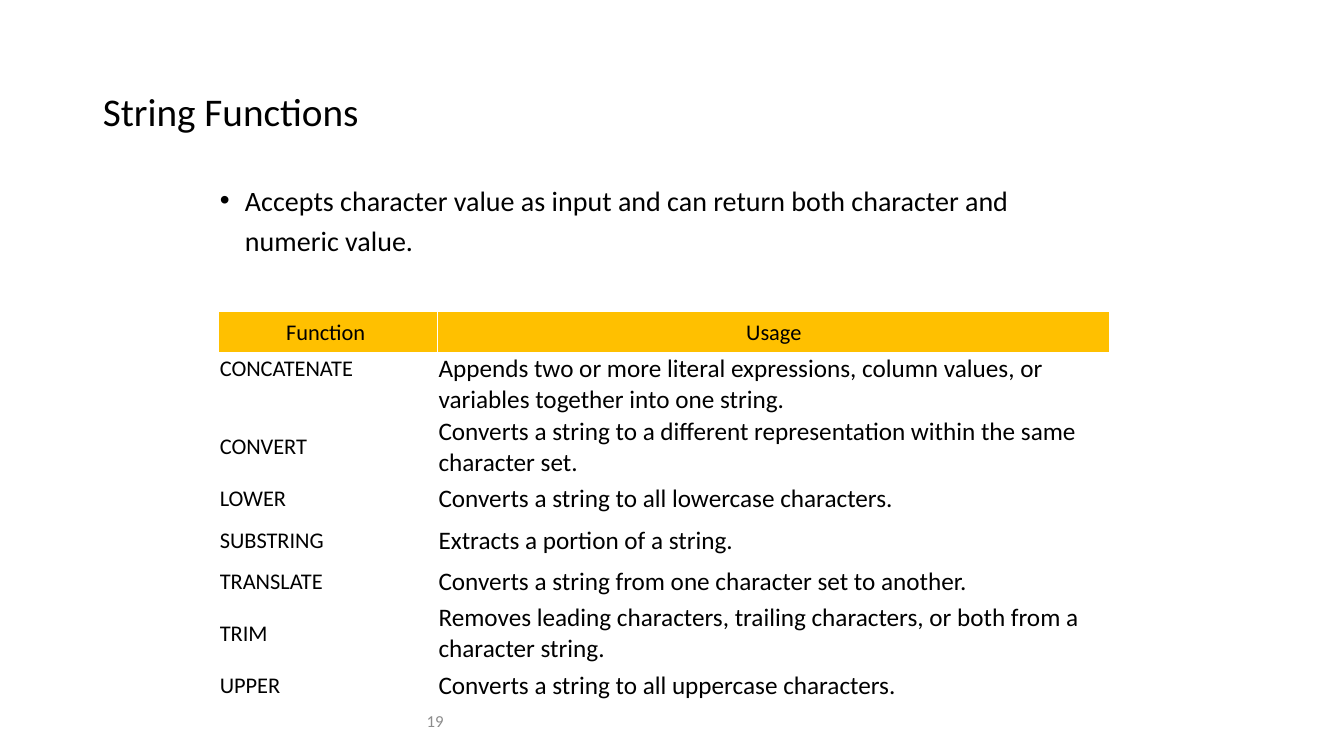
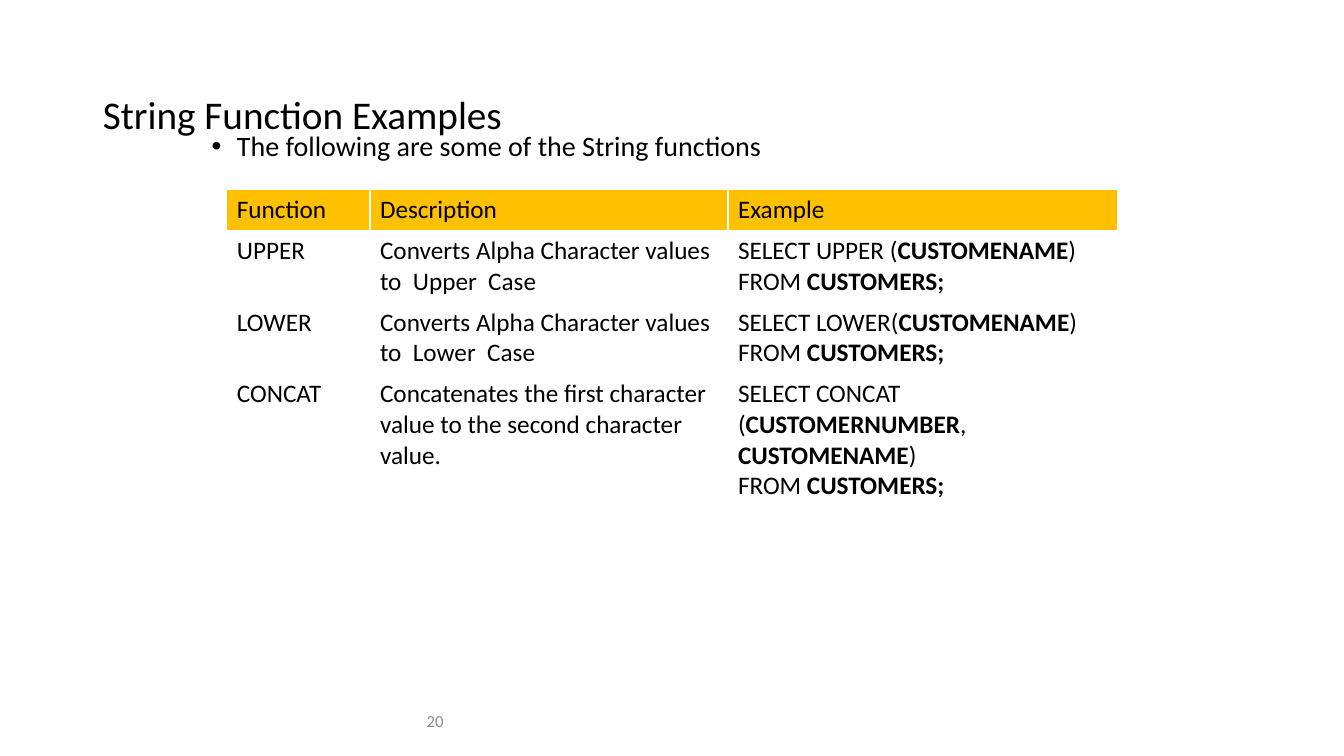
from pptx import Presentation
from pptx import util as u
from pptx.dml.color import RGBColor
from pptx.enum import text

# Content: *bold* between stars, "\n" breaks a line, lists hold paragraphs
USES = [
    ("Function ", "Usage"),
    ("CONCATENATE\n", "Appends two or more literal expressions, column values, or\n"
                      "variables together into one string."),
    ("CONVERT", "Converts a string to a different representation within the same\n"
                "character set."),
    ("LOWER", "Converts a string to all lowercase characters."),
    ("SUBSTRING", "Extracts a portion of a string."),
    ("TRANSLATE", "Converts a string from one character set to another."),
    ("TRIM", "Removes leading characters, trailing characters, or both from a "
             "character string."),
    ("UPPER", "Converts a string to all uppercase characters."),
]
FROM = "FROM *CUSTOMERS;*"
CASES = [
    ("Function", "Description", "Example "),
    ("UPPER", "Converts Alpha Character values to  Upper  Case",
     ["SELECT UPPER (*CUSTOMENAME*) ", FROM]),
    ("LOWER", "Converts Alpha Character values to  Lower  Case",
     ["SELECT LOWER(*CUSTOMENAME*) ", FROM]),
    ("CONCAT", "Concatenates the first character value to the second character value.",
     ["SELECT CONCAT (*CUSTOMERNUMBER*, *CUSTOMENAME*) ", FROM]),
]
MID, TOP = text.MSO_ANCHOR.MIDDLE, text.MSO_ANCHOR.TOP
LEFT, CENTER, RIGHT = (text.PP_ALIGN.LEFT, text.PP_ALIGN.CENTER, text.PP_ALIGN.RIGHT)
SLIDES = [
    dict(title="String Functions", lead=0.9, num="19",
         body="Accepts character value as input and can return both character and "
              "numeric value.",
         box=(2.08, 1.7, 9, 1.24), gap=10, space=1.2,
         rows=USES, at=(2.17, 3.09), cols=(2.17, 6.67), high=(0.41, 0.41),
         sizes=(16, 18), head=16, align=CENTER, anchor=MID,
         pad=(0.01, 0.01, 0.01, 0)),
    dict(title="String Function Examples", lead=1.0, num="20",
         body="The following are some of the String functions",
         box=(2, 1.26, 9, 0.62), gap=12, space=0.9,
         rows=CASES, at=(2.25, 1.88), cols=(1.42, 3.55, 3.87), high=(0.31, 0.53),
         sizes=(18, 18, 18), head=18, align=LEFT, anchor=TOP,
         pad=(0.1, 0.05, 0.1, 0.05)),
]

# Shared style
FONT = "Calibri"
BLACK = RGBColor(0, 0, 0)
GREY = RGBColor(0x8C, 0x8C, 0x8C)
GOLD = RGBColor(0xFF, 0xC0, 0)
TITLE = (0.92, 0.4, 11.5, 1.45)
FOOT = (0, 6.95, 4.5, 0.4)
HANG = u.Inches(0.25)


def write(frame, words, size, color=BLACK, align=LEFT):
    """Fill a text frame run by run and return its first paragraph."""
    lines = words if isinstance(words, list) else [words]
    for i, line in enumerate(lines):
        para = frame.add_paragraph() if i else frame.paragraphs[0]
        para.alignment = align
        for j, row in enumerate(line.split("\n")):
            if j:
                para.add_line_break()
            for k, part in enumerate(row.split("*")):
                if part:
                    run = para.add_run()
                    run.text = part
                    font = run.font
                    font.name, font.size, font.bold = FONT, u.Pt(size), k % 2 == 1
                    font.color.rgb = color
    return frame.paragraphs[0]


def place(shape, box, anchor):
    """Move a text shape and return its frame."""
    shape.left, shape.top, shape.width, shape.height = map(u.Inches, box)
    frame = shape.text_frame
    frame.word_wrap = True
    frame.auto_size = text.MSO_AUTO_SIZE.NONE
    frame.vertical_anchor = anchor
    return frame


def grid(slide, page):
    rows, cols = page["rows"], page["cols"]
    first, rest = page["high"]
    high = [first] + [rest] * (len(rows) - 1)
    size = (*page["at"], sum(cols), sum(high))
    table = slide.shapes.add_table(len(rows), len(cols), *map(u.Inches, size)).table
    table.horz_banding = False
    for col, width in zip(table.columns, cols):
        col.width = u.Inches(width)
    for r, row in enumerate(rows):
        table.rows[r].height = u.Inches(high[r])
        for c, words in enumerate(row):
            cell = table.cell(r, c)
            (cell.margin_left, cell.margin_top, cell.margin_right,
             cell.margin_bottom) = map(u.Inches, page["pad"])
            cell.vertical_anchor = page["anchor"]
            if r:
                cell.fill.background()
                write(cell.text_frame, words, page["sizes"][c])
            else:
                cell.fill.solid()
                cell.fill.fore_color.rgb = GOLD
                write(cell.text_frame, words, page["head"], align=page["align"])


# Build
deck = Presentation()
deck.slide_width, deck.slide_height = u.Inches(13.33), u.Inches(7.5)
for page in SLIDES:
    slide = deck.slides.add_slide(deck.slide_layouts[1])
    # Title
    para = write(place(slide.shapes.title, TITLE, MID), page["title"], 28)
    para.line_spacing = page["lead"]
    # Bullet
    para = write(place(slide.placeholders[1], page["box"], TOP), page["body"], 20)
    para.line_spacing, para.space_before = page["space"], u.Pt(page["gap"])
    props = para._p.get_or_add_pPr()
    props.set("marL", str(HANG))
    props.set("indent", str(-HANG))
    # Page number
    foot = slide.shapes.add_textbox(0, 0, 0, 0)
    write(place(foot, FOOT, MID), page["num"], 12, GREY, RIGHT)
    # Table
    grid(slide, page)
deck.save("out.pptx")
